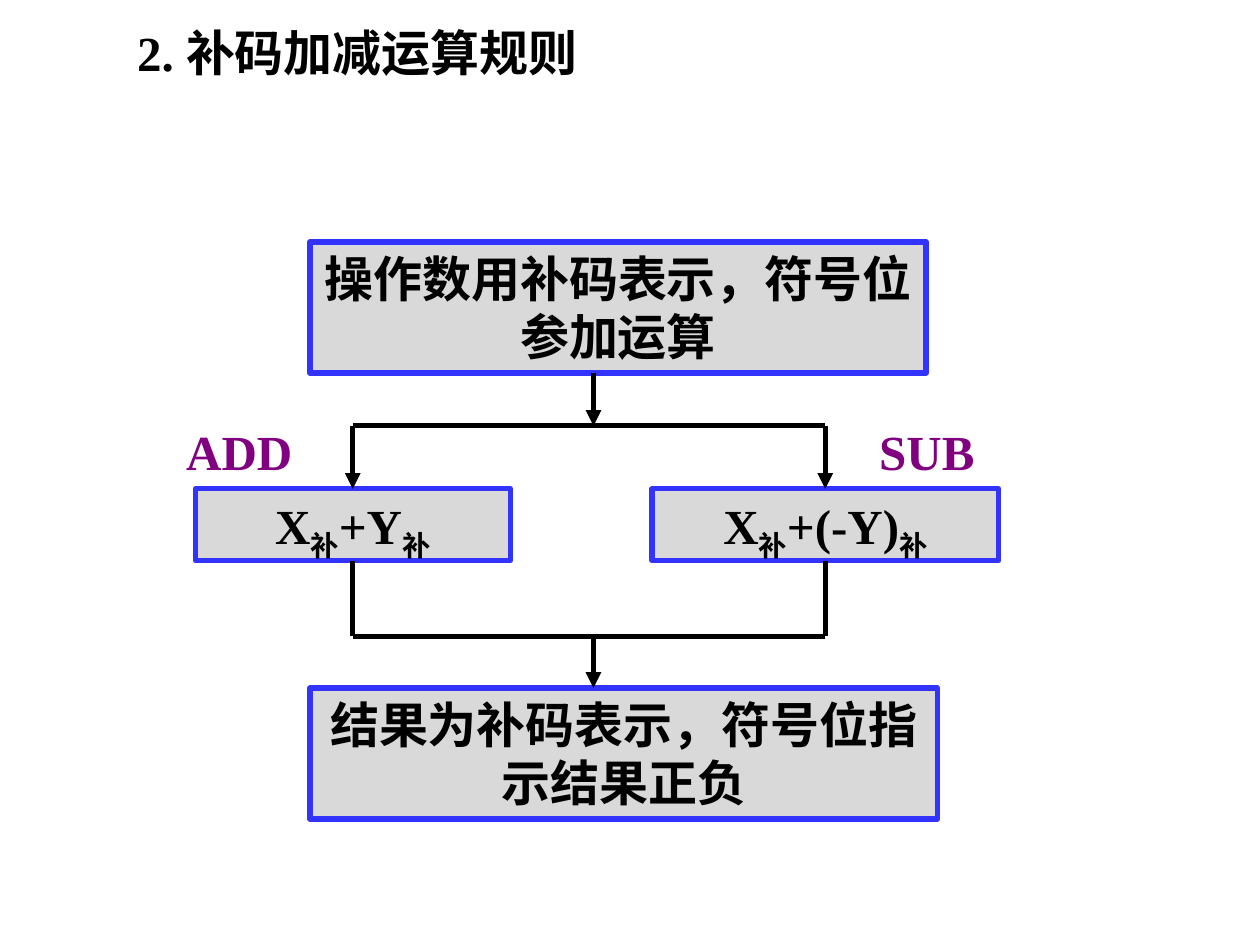
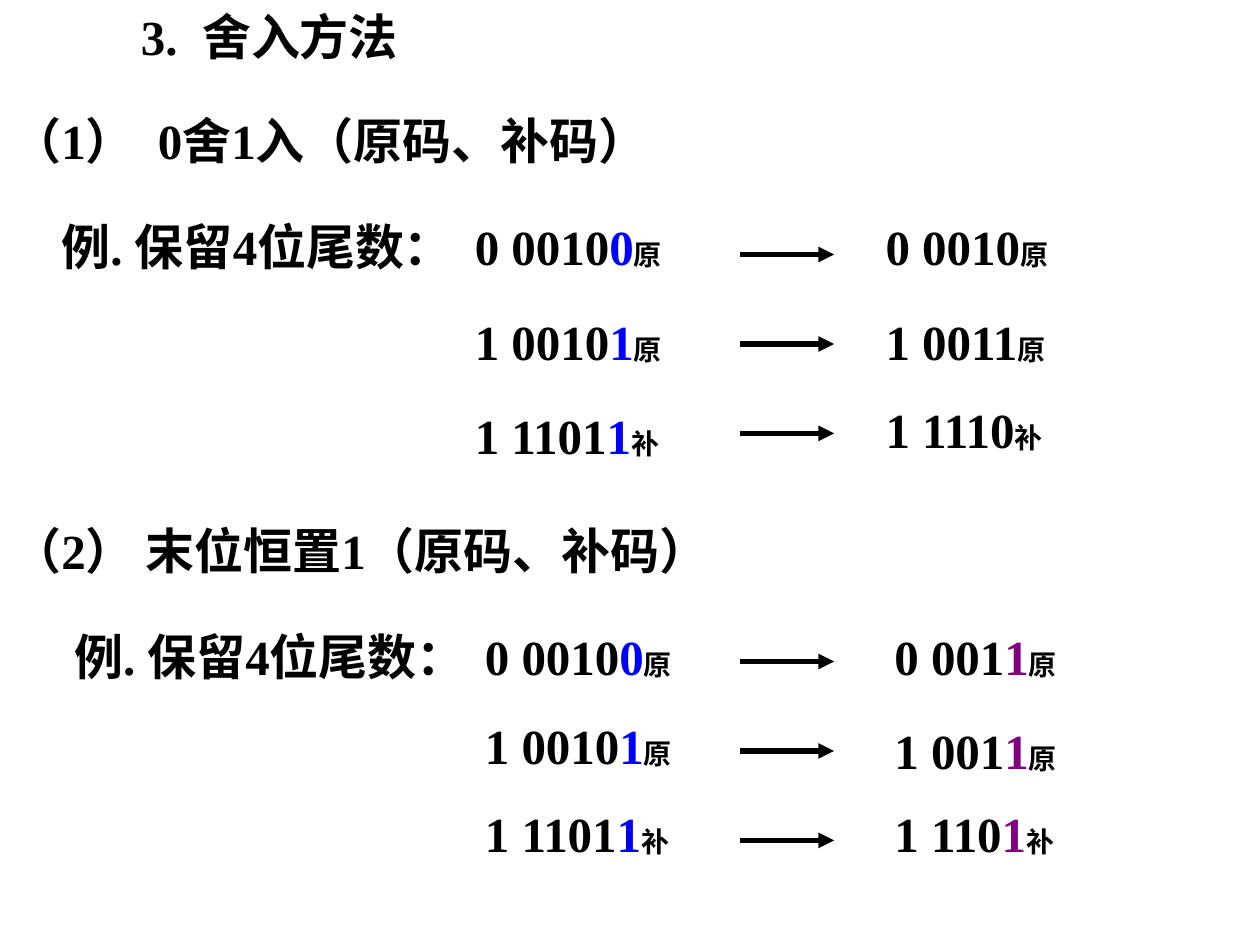
import pptx
import pptx.util
import pptx.dml.color
import pptx.enum.shapes
import pptx.enum.text
import pptx.oxml.ns
import lxml.etree

Inches = pptx.util.Inches
FONT = "Times New Roman"
LINE_H = 0.57
COLORS = {"ink": "000000", "panel": "D9D9D9", "border": "3333FF",
          "dropped": "0000FF", "accent": "800080"}


def rgb(name):
    """Return the named colour."""
    return pptx.dml.color.RGBColor.from_string(COLORS[name])


def add_run(p, text, size=28, color="ink", base=0, gap=0):
    """Add one bold run with an optional baseline shift and letter gap."""
    r = p.add_run()
    r.text = text
    r.font.name, r.font.size, r.font.bold = FONT, pptx.util.Pt(size), True
    r.font.color.rgb = rgb(color)
    rPr = r._r.get_or_add_rPr()
    if base:
        rPr.set("baseline", str(base * 1000))
    if gap:
        rPr.set("spc", str(gap * 100))


def fill_text(tf, parts, align=pptx.enum.text.PP_ALIGN.LEFT):
    """Fill a frame with a string or a list of (text, format) parts."""
    tf.word_wrap = True
    tf.vertical_anchor = pptx.enum.text.MSO_ANCHOR.TOP
    p = tf.paragraphs[0]
    p.alignment = align
    for text, fmt in [(parts, {})] if isinstance(parts, str) else parts:
        add_run(p, text, **fmt)


def add_text(s, x, y, w, parts, h=LINE_H):
    """Add a wrapped text box."""
    sp = s.shapes.add_textbox(Inches(x), Inches(y), Inches(w), Inches(h))
    fill_text(sp.text_frame, parts)


def add_panel(s, x, y, w, h, parts):
    """Add a grey step of the flow with a blue border."""
    sp = s.shapes.add_shape(pptx.enum.shapes.MSO_SHAPE.RECTANGLE,
                            Inches(x), Inches(y), Inches(w), Inches(h))
    sp.shadow.inherit = False
    sp.fill.solid()
    sp.fill.fore_color.rgb = rgb("panel")
    sp.line.color.rgb = rgb("border")
    sp.line.width = pptx.util.Pt(3)
    fill_text(sp.text_frame, parts, pptx.enum.text.PP_ALIGN.CENTER)


def add_line(s, x1, y1, x2, y2, arrow=False):
    """Add a black line, with an arrowhead at its end if asked."""
    line = s.shapes.add_connector(pptx.enum.shapes.MSO_CONNECTOR.STRAIGHT,
                                  Inches(x1), Inches(y1), Inches(x2), Inches(y2))
    line.line.color.rgb = rgb("ink")
    line.line.width = pptx.util.Pt(3)
    qn = pptx.oxml.ns.qn
    if arrow:
        lxml.etree.SubElement(line.line._get_or_add_ln(), qn("a:tailEnd"), type="triangle")
    lxml.etree.SubElement(line._element.spPr, qn("a:effectLst"))


def complement_sum(second):
    """Return the parts of a sum of two complements."""
    mark = ("补", {"base": -25})
    return [("X", {}), mark, (second, {}), mark]


def add_flow(s, x, y):
    """Draw the add and subtract flow from its top left corner."""
    left, middle, right = x + 1.42, x + 3.33, x + 5.17
    split, branch, join, result = y + 1.46, y + 1.96, y + 3.13, y + 3.54
    add_panel(s, x + 1.08, y, 4.89, 1.04, "操作数用补码表示，符号位参加运算")
    add_panel(s, x + 1.08, result, 4.98, 1.04, "结果为补码表示，符号位指示结果正负")
    for center, width, second in ((left, 2.5, "+Y"), (right, 2.75, "+(-Y)")):
        add_panel(s, center - width / 2, branch, width, LINE_H, complement_sum(second))
        add_line(s, center, split, center, branch, arrow=True)
        add_line(s, center, branch + LINE_H, center, join)
    for bar in (split, join):
        add_line(s, left, bar, right, bar)
    add_line(s, middle, y + 1.04, middle, split, arrow=True)
    add_line(s, middle, join, middle, result, arrow=True)
    for offset, name in ((0, "ADD"), (5.5, "SUB")):
        add_text(s, x + offset, y + 1.38, 1.6, [(name, {"color": "accent"})])


def number(digits, last, code, color):
    """Return the parts of a number with a coloured last digit and a code mark."""
    return [(digits, {}), (last, {"color": color}), (code, {"size": 16})]


def add_rounding(s, y, heading, label_x, before_x, after_x, arrow_y, rows, color):
    """Draw one rounding method: heading, label and its example rows."""
    add_text(s, 0, y, 7.44, heading)
    top = y + 0.84
    add_text(s, label_x, top, 3.26, "例. 保留4位尾数：", h=1.04)
    for i, (before, after, code, before_dy, after_dy) in enumerate(rows):
        add_text(s, before_x, top + before_dy, 2.2, number(*before, code, "dropped"))
        add_text(s, after_x, top + after_dy, 2.5, number(*after, code, color))
        line_y = top + arrow_y + i * 0.71
        add_line(s, 5.87, line_y, 6.62, line_y, arrow=True)


def build_rules(prs):
    """Build the slide of the complement rules."""
    s = prs.slides.add_slide(prs.slide_layouts[6])
    add_text(s, 0.99, 0.13, 4.88, "2. 补码加减运算规则")
    add_flow(s, 1.38, 1.92)


def build_rounding(prs):
    """Build the slide of the rounding methods."""
    s = prs.slides.add_slide(prs.slide_layouts[6])
    wide_space = (" ", {"gap": 7})
    add_text(s, 1.02, 0, 5, [("3.", {}), wide_space, ("舍入方法", {})])
    add_rounding(s, 0.83, [("（1）", {}), wide_space, ("0舍1入（原码、补码）", {})],
                 0.39, 3.67, 6.93, 0.35, [
        (("0 0010", "0"), ("0 001", "0"), "原", 0, 0),
        (("1 0010", "1"), ("1 001", "1"), "原", 0.75, 0.75),
        (("1 1101", "1"), ("1 111", "0"), "补", 1.5, 1.45)], "ink")
    add_rounding(s, 4.08, "（2） 末位恒置1（原码、补码）", 0.49, 3.75, 7, 0.33, [
        (("0 0010", "0"), ("0 001", "1"), "原", 0, 0),
        (("1 0010", "1"), ("1 001", "1"), "原", 0.71, 0.75),
        (("1 1101", "1"), ("1 110", "1"), "补", 1.41, 1.41)], "accent")


def main():
    """Build and save the presentation."""
    prs = pptx.Presentation()
    prs.slide_width, prs.slide_height = Inches(10), Inches(7.5)
    build_rules(prs)
    build_rounding(prs)
    prs.save("out.pptx")


main()
